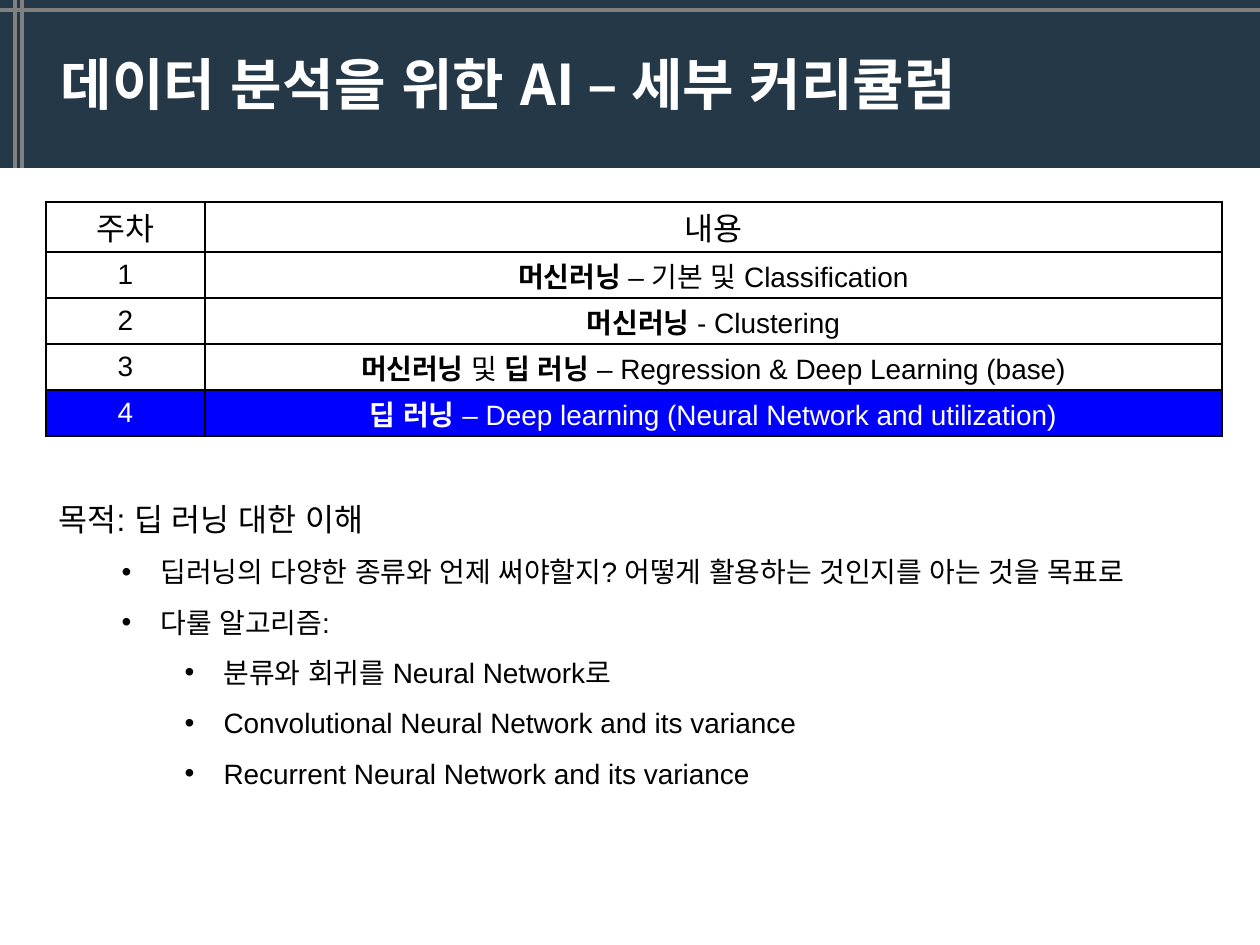
"""Build the curriculum slide: title band, weekly table and goals list."""
from lxml import etree
from pptx import Presentation
from pptx import util as u
from pptx.dml.color import RGBColor
from pptx.enum import shapes, text
from pptx.oxml import ns

PX = 914400 // 126
NAVY = RGBColor(0x25, 0x38, 0x48)
GRAY = RGBColor(0x80, 0x80, 0x80)
BLUE = RGBColor(0x00, 0x00, 0xFF)
BLACK = RGBColor(0x00, 0x00, 0x00)
WHITE = RGBColor(0xFF, 0xFF, 0xFF)


def add_child(parent, tag, **attrs):
    return etree.SubElement(parent, ns.qn(tag), **attrs)


def add_run(p, words, size, color, bold=False, font="Arial"):
    r = p.add_run()
    r.text = words
    r.font.name = font
    r.font.size = u.Pt(size)
    r.font.bold = bold
    r.font.color.rgb = color
    add_child(r.font._element, "a:ea", typeface="Arial")


prs = Presentation()
prs.slide_width, prs.slide_height = u.Inches(10), u.Inches(7.5)
s = prs.slides.add_slide(prs.slide_layouts[1])
title, body = s.placeholders[0], s.placeholders[1]

band = s.shapes.add_shape(shapes.MSO_SHAPE.RECTANGLE, 0, 0, 1260 * PX, 168 * PX)
band.shadow.inherit = False
band.fill.solid()
band.fill.fore_color.rgb = NAVY
band.line.fill.background()

for x1, y1, x2, y2 in [(0, 10, 1260, 10), (15, 0, 15, 168), (22, 0, 22, 168)]:
    rule = s.shapes.add_connector(
        shapes.MSO_CONNECTOR.STRAIGHT, x1 * PX, y1 * PX, x2 * PX, y2 * PX)
    rule.line.color.rgb = GRAY
    rule.line.width = u.Pt(2.25)
    add_child(rule.element.spPr, "a:effectLst")

s.shapes.element.append(title.element)
title.left, title.top, title.width, title.height = (v * PX for v in (48, 43, 1137, 81))
tf = title.text_frame
tf.word_wrap = True
tf.auto_size = text.MSO_AUTO_SIZE.NONE
tf.vertical_anchor = text.MSO_ANCHOR.MIDDLE
p = tf.paragraphs[0]
p.alignment = text.PP_ALIGN.LEFT
add_run(p, "데이터 분석을 위한 AI – 세부 커리큘럼", 32, WHITE, True, "Noto Sans CJK KR")

weeks = [
    ("주차", [("내용", False)]),
    ("1", [("머신러닝 ", True), ("– 기본 및 Classification", False)]),
    ("2", [("머신러닝 ", True), ("- Clustering", False)]),
    ("3", [("머신러닝", True), (" 및 ", False), ("딥 러닝 ", True),
           ("– Regression & Deep Learning (base)", False)]),
    ("4", [("딥 러닝 ", True),
           ("– Deep learning (Neural Network and utilization)", False)]),
]
frame = s.shapes.add_table(len(weeks), 2, 46 * PX, 202 * PX, 1176 * PX, 234 * PX)
table = frame.table
table.first_row = table.horz_banding = False
table.columns[0].width, table.columns[1].width = 159 * PX, 1017 * PX
for i, (week, topic) in enumerate(weeks):
    table.rows[i].height = (50 if i == 0 else 46) * PX
    current = i == len(weeks) - 1
    for j, (cell, runs) in enumerate(zip(table.rows[i].cells, ([(week, False)], topic))):
        cell.vertical_anchor = text.MSO_ANCHOR.MIDDLE
        cell.margin_top = 0 if i and j == 0 else 5 * PX
        cell.margin_bottom = 0
        tcPr = cell._tc.get_or_add_tcPr()
        for side in ("a:lnL", "a:lnR", "a:lnT", "a:lnB"):
            fill = add_child(add_child(tcPr, side, w="12700"), "a:solidFill")
            add_child(fill, "a:srgbClr", val=str(BLACK))
        if current:
            cell.fill.solid()
            cell.fill.fore_color.rgb = BLUE
        else:
            cell.fill.background()
        p = cell.text_frame.paragraphs[0]
        p.alignment = text.PP_ALIGN.CENTER
        for words, bold in runs:
            add_run(p, words, 18 if i == 0 else 16, WHITE if current else BLACK, bold)

goals = [
    (0, "목적: 딥 러닝 대한 이해"),
    (1, "딥러닝의 다양한 종류와 언제 써야할지? 어떻게 활용하는 것인지를 아는 것을 목표로"),
    (1, "다룰 알고리즘:"),
    (2, "분류와 회귀를 Neural Network로"),
    (2, "Convolutional Neural Network and its variance"),
    (2, "Recurrent Neural Network and its variance"),
]
s.shapes.element.append(body.element)
body.left, body.top, body.width, body.height = (v * PX for v in (46, 475, 1102, 319))
tf = body.text_frame
tf.word_wrap = True
tf.auto_size = text.MSO_AUTO_SIZE.NONE
tf.vertical_anchor = text.MSO_ANCHOR.TOP
for i, (level, words) in enumerate(goals):
    p = tf.paragraphs[0] if i == 0 else tf.add_paragraph()
    p.level = level
    p.line_spacing = 1.5
    p.space_before = p.space_after = u.Pt(0)
    pPr = p._p.get_or_add_pPr()
    pPr.set("marL", str((39 + 63 * level) * PX if level else 0))
    pPr.set("indent", str(-39 * PX if level else 0))
    if level:
        add_child(pPr, "a:buFont", typeface="Arial")
        add_child(pPr, "a:buChar", char="•")
    else:
        add_child(pPr, "a:buNone")
    add_run(p, words, 16 if level else 18, BLACK)

prs.save("out.pptx")
